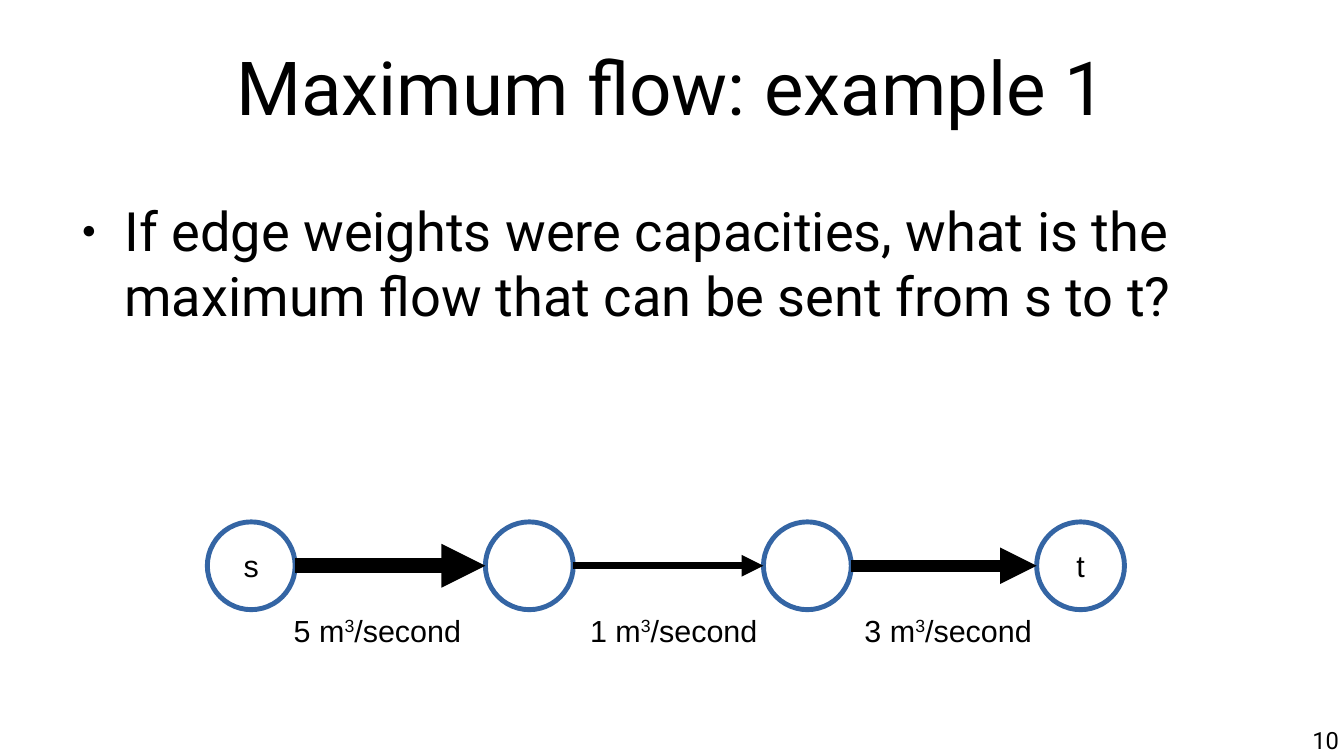
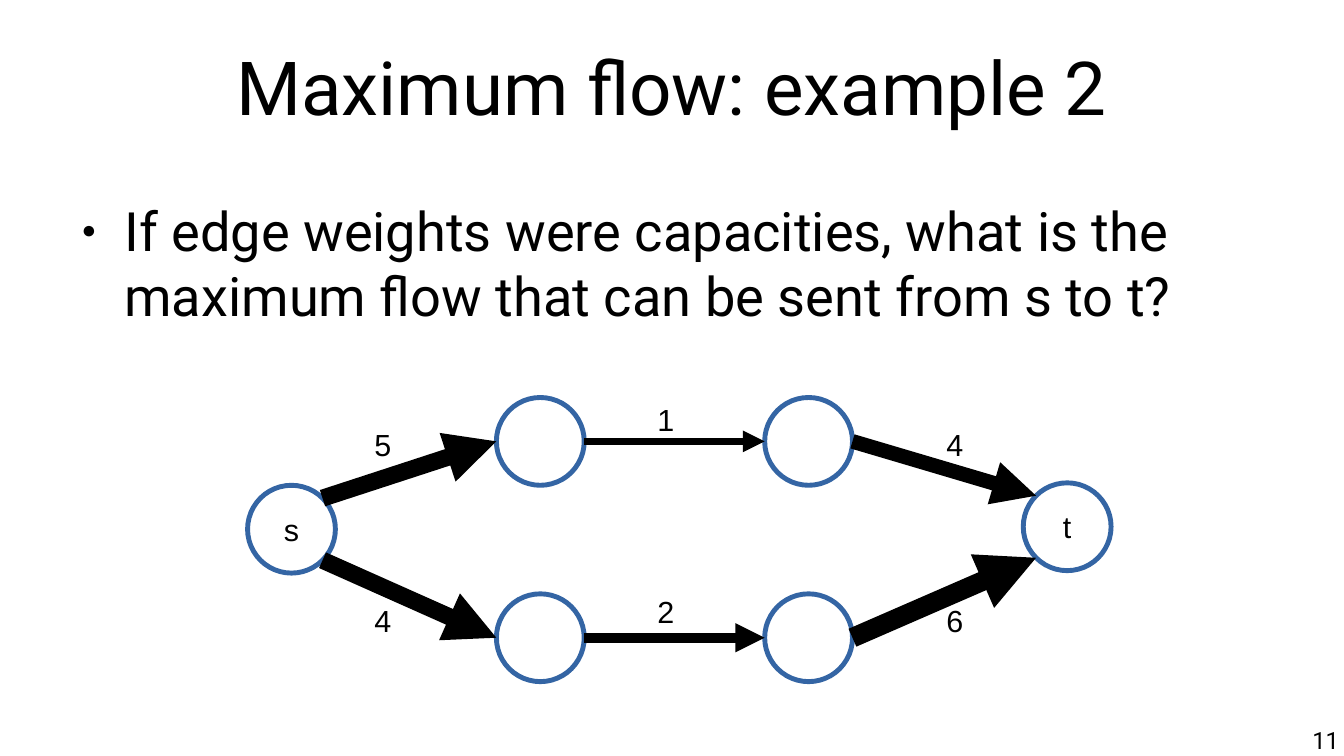
from dataclasses import dataclass
from math import cos, radians, sin

from lxml.etree import SubElement
from pptx import Presentation
from pptx.dml.color import RGBColor
from pptx.enum.shapes import MSO_CONNECTOR, MSO_SHAPE
from pptx.enum.text import MSO_ANCHOR, MSO_AUTO_SIZE, PP_ALIGN
from pptx.oxml.ns import qn
from pptx.util import Inches, Pt


@dataclass(frozen=True)
class Theme:
    ink: RGBColor = RGBColor(0, 0, 0)
    paper: RGBColor = RGBColor(255, 255, 255)
    outline: RGBColor = RGBColor(0x34, 0x65, 0xA4)
    text_font: str = "Roboto"
    diagram_font: str = "Arial"
    title_size: int = 44
    body_size: int = 32
    diagram_size: int = 18
    number_size: int = 14
    outline_width: float = 2.89
    node_size: float = 0.72


class Deck:
    def __init__(self, theme):
        self.theme = theme
        self.presentation = Presentation()
        self.presentation.slide_width = Inches(11.02)
        self.presentation.slide_height = Inches(6.2)
        self.slide = None

    def add_slide(self, title, question, number):
        theme = self.theme
        self.slide = self.presentation.slides.add_slide(self.presentation.slide_layouts[1])
        heading = self.slide.shapes.title
        self.place(heading, 0.55, 0.01, 9.92, 1.38)
        self.set_text(heading, title, theme.title_size, theme.text_font)
        body = self.slide.placeholders[1]
        self.place(body, 0.55, 1.62, 9.92, 1.37)
        self.set_text(body, question, theme.body_size, theme.text_font,
                      PP_ALIGN.LEFT, MSO_ANCHOR.TOP)
        self.bullet(body.text_frame.paragraphs[0])
        footer = self.slide.shapes.add_textbox(Inches(8.41), Inches(5.95), Inches(2.57), Inches(0.25))
        self.set_text(footer, number, theme.number_size, theme.text_font,
                      PP_ALIGN.RIGHT, MSO_ANCHOR.TOP)

    def place(self, shape, left, top, width, height):
        shape.left, shape.top = Inches(left), Inches(top)
        shape.width, shape.height = Inches(width), Inches(height)

    def set_text(self, shape, text, size, font, align=PP_ALIGN.CENTER,
                 anchor=MSO_ANCHOR.MIDDLE, wrap=True):
        frame = shape.text_frame
        frame.text = text
        frame.auto_size = MSO_AUTO_SIZE.NONE
        frame.word_wrap = wrap
        frame.vertical_anchor = anchor
        frame.margin_left = frame.margin_right = 0
        frame.margin_top = frame.margin_bottom = 0
        paragraph = frame.paragraphs[0]
        paragraph.alignment = align
        paragraph.space_before = Pt(0)
        for run in paragraph.runs:
            self.style(run, size, font)

    def style(self, run, size, font):
        run.font.size = Pt(size)
        run.font.name = font
        run.font.color.rgb = self.theme.ink

    def bullet(self, paragraph):
        properties = paragraph._p.get_or_add_pPr()
        properties.set("marL", str(Inches(0.47)))
        properties.set("indent", str(Inches(-0.35)))
        SubElement(properties, qn("a:buSzPct")).set("val", "45000")
        SubElement(properties, qn("a:buChar")).set("char", "●")

    def node(self, left, top, name=""):
        theme = self.theme
        size = Inches(theme.node_size)
        shape = self.slide.shapes.add_shape(MSO_SHAPE.OVAL, Inches(left), Inches(top), size, size)
        shape.shadow.inherit = False
        shape.fill.solid()
        shape.fill.fore_color.rgb = theme.paper
        shape.line.color.rgb = theme.outline
        shape.line.width = Pt(theme.outline_width)
        if name:
            self.set_text(shape, name, theme.diagram_size, theme.diagram_font, wrap=False)
        return shape

    def rim(self, node, angle):
        radius = node.width / 2
        return (round(node.left + radius * (1 + cos(radians(angle)))),
                round(node.top + radius * (1 + sin(radians(angle)))))

    def edge(self, source, target, width, leave=0, enter=180):
        connector = self.slide.shapes.add_connector(
            MSO_CONNECTOR.STRAIGHT, *self.rim(source, leave), *self.rim(target, enter))
        connector.line.color.rgb = self.theme.ink
        connector.line.width = Pt(width)
        properties = connector._element.spPr
        SubElement(properties.find(qn("a:ln")), qn("a:tailEnd")).set("type", "triangle")
        SubElement(properties, qn("a:effectLst"))

    def label(self, left, top, text, width=0.4, exponent="", unit=""):
        theme = self.theme
        box = self.slide.shapes.add_textbox(Inches(left), Inches(top), Inches(width), Inches(0.44))
        self.set_text(box, text, theme.diagram_size, theme.diagram_font, wrap=False)
        paragraph = box.text_frame.paragraphs[0]
        for part in filter(None, (exponent, unit)):
            run = paragraph.add_run()
            run.text = part
            self.style(run, theme.diagram_size, theme.diagram_font)
            if part == exponent:
                run._r.get_or_add_rPr().set("baseline", "33000")


def build_chain(deck):
    nodes = [deck.node(left, 4.28, name)
             for left, name in ((1.7, "s"), (3.98, ""), (6.26, ""), (8.5, "t"))]
    edges = ((5, 8.65, 2.28), (1, 4.31, 4.71), (3, 7.2, 6.96))
    for source, target, (capacity, width, left) in zip(nodes, nodes[1:], edges):
        deck.edge(source, target, width)
        deck.label(left, 4.95, f"{capacity} m", 1.63, "3", "/second")


def build_two_paths(deck):
    source = deck.node(2.03, 3.98, "s")
    sink = deck.node(8.39, 3.96, "t")
    paths = (
        (3.26, -45, -135, (10.09, 4.31, 8.65), ("5", "1", "4"), (3.42, 3.22, 3.42)),
        (4.87, 45, 135, (10.09, 5.75, 11.5), ("4", "2", "6"), (4.87, 4.79, 4.87)),
    )
    for top, leave, enter, widths, capacities, label_tops in paths:
        first, second = (deck.node(left, top) for left in (4.07, 6.27))
        deck.edge(source, first, widths[0], leave=leave)
        deck.edge(first, second, widths[1])
        deck.edge(second, sink, widths[2], enter=enter)
        for left, label_top, capacity in zip((2.94, 5.26, 7.63), label_tops, capacities):
            deck.label(left, label_top, capacity)


def main():
    deck = Deck(Theme())
    question = ("If edge weights were capacities, what is the maximum flow "
                "that can be sent from s to t?")
    for example, build_graph in enumerate((build_chain, build_two_paths), 1):
        deck.add_slide(f"Maximum flow: example {example}", question, str(9 + example))
        build_graph(deck)
    deck.presentation.save("out.pptx")


if __name__ == "__main__":
    main()
